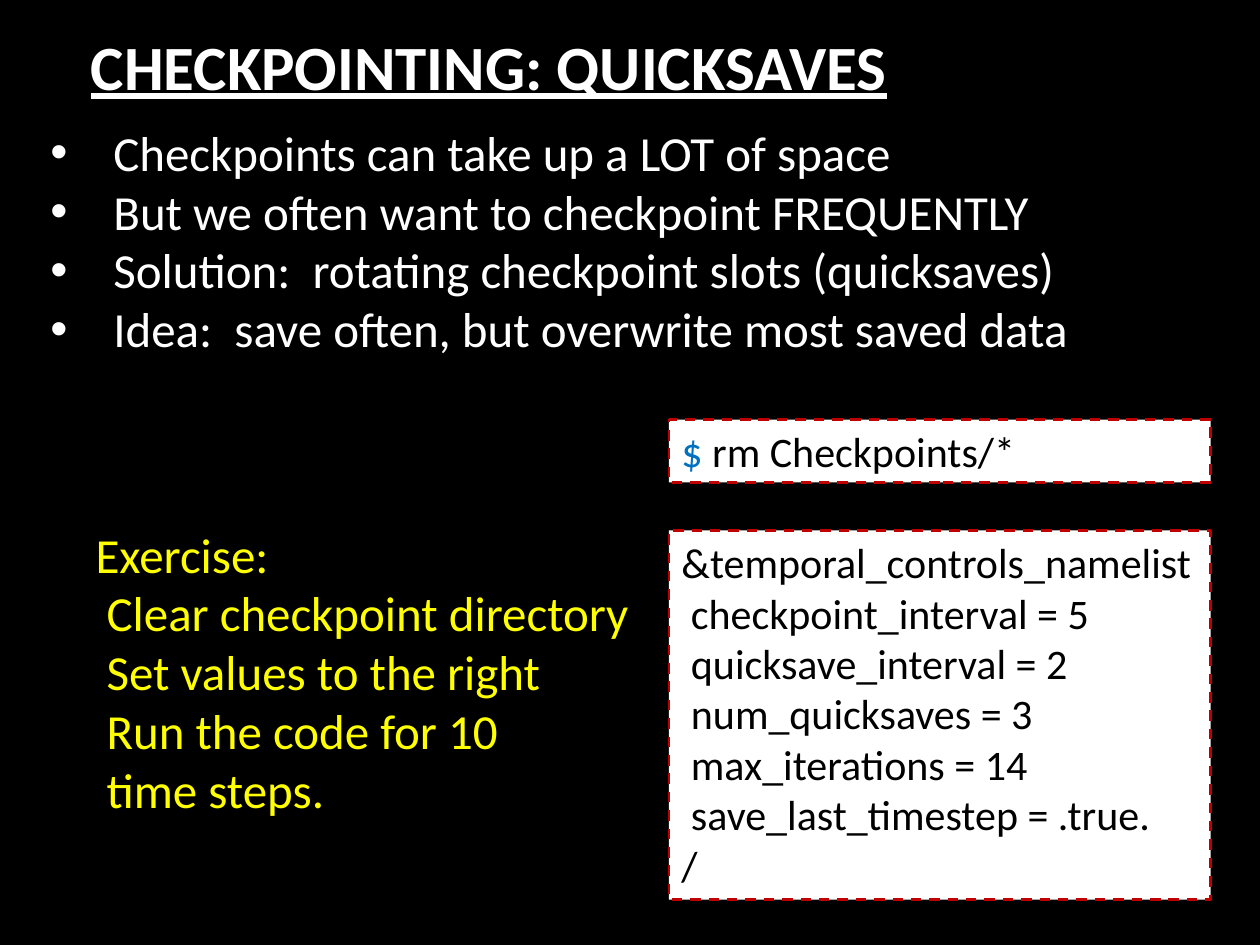
"""Build the slide on checkpoint quicksaves."""
from dataclasses import dataclass

from lxml import etree
from pptx import Presentation
from pptx.dml.color import RGBColor
from pptx.enum.dml import MSO_LINE
from pptx.enum.shapes import MSO_SHAPE
from pptx.enum.text import MSO_ANCHOR, MSO_AUTO_SIZE, PP_ALIGN
from pptx.oxml.ns import qn
from pptx.util import Inches, Pt

DASH = MSO_LINE.DASH
RECTANGLE = MSO_SHAPE.RECTANGLE
TOP, MIDDLE = MSO_ANCHOR.TOP, MSO_ANCHOR.MIDDLE
LEFT, CENTER = PP_ALIGN.LEFT, PP_ALIGN.CENTER
NO_AUTOFIT = MSO_AUTO_SIZE.NONE

SLIDE_WIDTH, SLIDE_HEIGHT = Inches(10), Inches(7.5)
COLUMNS, ROWS = 100, 75
BLACK, WHITE, YELLOW, RED, BLUE = "000000", "FFFFFF", "FFFF00", "C00000", "0070C0"
PANEL_COLUMN, PANEL_COLUMNS = 53.1, 43


@dataclass(frozen=True)
class Area:
    """A block of grid columns and rows."""

    column: float
    row: float
    columns: float
    rows: float

    def format(self) -> dict:
        """Return the block as position and size values."""
        return {
            "left": round(SLIDE_WIDTH * self.column / COLUMNS),
            "top": round(SLIDE_HEIGHT * self.row / ROWS),
            "width": round(SLIDE_WIDTH * self.columns / COLUMNS),
            "height": round(SLIDE_HEIGHT * self.rows / ROWS),
        }


@dataclass(frozen=True)
class Piece:
    """A stretch of text in one colour."""

    text: str
    color: str


@dataclass(frozen=True)
class Panel:
    """A dashed box of code lines."""

    row: float
    rows: float
    lines: list[list[Piece]]


def color(value: str) -> RGBColor:
    """Turn a hex string into a colour."""
    return RGBColor.from_string(value)


def apply(target, values: dict) -> None:
    """Set attributes from a dict of format values."""
    for name, value in values.items():
        setattr(target, name, value)


def plain(text: str, hex_color: str) -> list[list[Piece]]:
    """Split text into lines of one colour."""
    return [[Piece(line, hex_color)] for line in text.split("\n")]


def write(shape, lines: list[list[Piece]], size: int, alignment=LEFT,
          anchor=TOP, **font_values) -> None:
    """Fill a shape with one paragraph a line."""
    frame = shape.text_frame
    apply(frame, {"word_wrap": True, "auto_size": NO_AUTOFIT, "vertical_anchor": anchor})
    for index, line in enumerate(lines):
        paragraph = frame.add_paragraph() if index else frame.paragraphs[0]
        apply(paragraph, {"alignment": alignment, "space_before": Pt(0)})
        for piece in line:
            run = paragraph.add_run()
            run.text = piece.text
            apply(run.font, {"name": "Calibri", "size": Pt(size), **font_values})
            run.font.color.rgb = color(piece.color)


def add_bullets(shape, indent: int) -> None:
    """Give every paragraph a hanging bullet."""
    for paragraph in shape.text_frame.paragraphs:
        properties = paragraph._p.get_or_add_pPr()
        properties.set("marL", str(indent))
        properties.set("indent", str(-indent))
        etree.SubElement(properties, qn("a:buFont")).set("typeface", "Arial")
        etree.SubElement(properties, qn("a:buChar")).set("char", "•")


def add_panel(slide, panel: Panel) -> None:
    """Draw a code panel."""
    area = Area(PANEL_COLUMN, panel.row, PANEL_COLUMNS, panel.rows)
    shape = slide.shapes.add_shape(RECTANGLE, **area.format())
    shape.shadow.inherit = False
    shape.fill.solid()
    shape.fill.fore_color.rgb = color(WHITE)
    shape.line.color.rgb = color(RED)
    apply(shape.line, {"width": Pt(1.5), "dash_style": DASH})
    write(shape, panel.lines, 24)


def main() -> None:
    """Build and save the slide."""
    presentation = Presentation()
    apply(presentation, {"slide_width": SLIDE_WIDTH, "slide_height": SLIDE_HEIGHT})
    slide = presentation.slides.add_slide(presentation.slide_layouts[1])
    slide.background.fill.solid()
    slide.background.fill.fore_color.rgb = color(BLACK)

    title, body = slide.placeholders
    apply(title, Area(-3.6, -2.8, 84.8, 15.9).format())
    write(title, plain("CHECKPOINTING: QUICKSAVES", WHITE), 36, CENTER, MIDDLE,
          bold=True, underline=True)

    apply(body, Area(4, 9.7, 93.3, 18.8).format())
    apply(body.text_frame, dict.fromkeys(
        ("margin_left", "margin_top", "margin_right", "margin_bottom"), 0))
    write(body, plain("""Checkpoints can take up a LOT of space
But we often want to checkpoint FREQUENTLY
Solution:  rotating checkpoint slots (quicksaves)
Idea:  save often, but overwrite most saved data""", WHITE), 28)
    add_bullets(body, Inches(0.5))

    settings = plain("""&temporal_controls_namelist
 checkpoint_interval = 5
 quicksave_interval = 2
 num_quicksaves = 3
 max_iterations = 14
 save_last_timestep = .true.
/""", BLACK)
    command = [[Piece("$ ", BLUE), Piece("rm Checkpoints/*", BLACK)]]
    for panel in (Panel(42.1, 29.3, settings), Panel(33.3, 5, command)):
        add_panel(slide, panel)

    exercise = slide.shapes.add_textbox(**Area(6.6, 41.1, 51.9, 24.6).format())
    write(exercise, plain("""Exercise:
 Clear checkpoint directory
 Set values to the right
 Run the code for 10
 time steps.""", YELLOW), 28)

    presentation.save("out.pptx")


if __name__ == "__main__":
    main()
